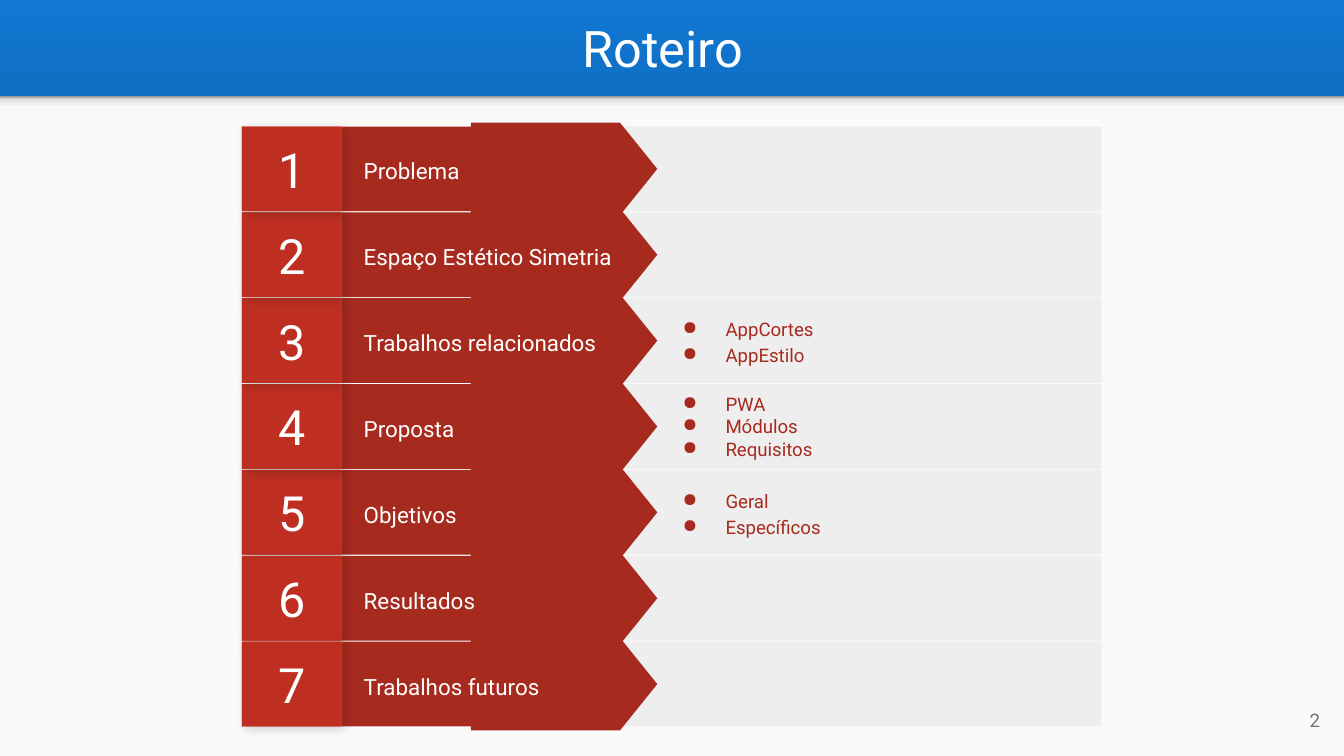
from lxml.etree import SubElement
from pptx import Presentation
from pptx.dml.color import RGBColor
from pptx.enum.shapes import MSO_SHAPE
from pptx.enum.text import MSO_ANCHOR, PP_ALIGN
from pptx.oxml.ns import qn
from pptx.util import Pt

INK = {
    "white": "FFFFFF", "page": "FAFAFA", "gray": "737373", "bar": "EEEEEE",
    "brick": "A72A1E", "under": "B02C20", "red": "BE2F22", "black": "000000",
    "sky": "1077D2", "navy": "093153",
    "mist": "F9F9F9", "fog": "DEDEDE", "shade": "999999",
}
ROWS = [
    ("Problema", []),
    ("Espaço Estético Simetria", []),
    ("Trabalhos relacionados", ["AppCortes", "AppEstilo"]),
    ("Proposta", ["PWA", "Módulos", "Requisitos"]),
    ("Objetivos", ["Geral", "Específicos"]),
    ("Resultados", []),
    ("Trabalhos futuros", []),
]
STACK = [5, 4, 3, 2, 1, 6, 7]
TOP, STEP, HIGH = 67.8, 46, 45.4


def put(node, tag, **attrs):
    return SubElement(node, qn(tag), attrs)


class Deck:
    font = "Roboto"
    inset = Pt(7.2)

    def __init__(self, slide):
        self.slide = slide
        self.shapes = slide.shapes

    def group(self):
        self.shapes = self.slide.shapes.add_group_shape().shapes

    def blend(self, fill, root, stops, angle):
        fill.gradient()
        fill.gradient_angle = angle
        track = next(root.iter(qn("a:gsLst")))
        track.clear()
        for pos, ink in stops:
            stop = put(track, "a:gs", pos=str(pos * 1000))
            put(stop, "a:srgbClr", val=INK[ink])

    def shape(self, x, y, w, h, ink, kind=MSO_SHAPE.RECTANGLE, turn=0):
        item = self.shapes.add_shape(kind, Pt(x), Pt(y), Pt(w), Pt(h))
        item.shadow.inherit = False
        item.fill.solid()
        item.fill.fore_color.rgb = RGBColor.from_string(INK[ink])
        item.line.fill.background()
        item.rotation = turn
        return item

    def shadow(self, item):
        spot = item._element.spPr.find(qn("a:effectLst"))
        cast = put(spot, "a:outerShdw", blurRad=str(Pt(5.6)), dist=str(Pt(2.2)),
                   dir="2700000", algn="bl", rotWithShape="0")
        tint = put(cast, "a:srgbClr", val=INK["black"])
        put(tint, "a:alpha", val="17000")

    def label(self, item, lines, size, ink, align=PP_ALIGN.LEFT, gap=1.0):
        frame = item.text_frame
        frame.word_wrap = True
        frame.vertical_anchor = MSO_ANCHOR.MIDDLE
        frame.margin_left = frame.margin_right = self.inset
        frame.margin_top = frame.margin_bottom = self.inset
        frame.text = "\n".join(lines)
        for para in frame.paragraphs:
            para.alignment = align
            para.line_spacing = gap
            para.font.name = self.font
            para.font.size = Pt(size)
            para.font.color.rgb = RGBColor.from_string(INK[ink])

    def text(self, x, y, w, h, lines, size, ink, align=PP_ALIGN.LEFT, gap=1.0):
        item = self.shapes.add_textbox(Pt(x), Pt(y), Pt(w), Pt(h))
        self.label(item, lines, size, ink, align, gap)
        return item

    def bullets(self, x, y, w, h, lines, size, ink, gap):
        item = self.text(x, y, w, h, lines, size, ink, gap=gap)
        for para in item.text_frame.paragraphs:
            props = para._p.get_or_add_pPr()
            props.set("marL", str(Pt(36)))
            props.set("indent", str(-Pt(23)))
            mark = props.makeelement(qn("a:buChar"), {"char": "●"})
            props.find(qn("a:defRPr")).addprevious(mark)

    def row(self, num, title, notes):
        y = TOP + (num - 1) * STEP
        self.group()
        self.shape(294.5, y, 295.5, HIGH, "bar")
        self.shape(183, y, 142.5, HIGH, "brick")
        wide, tall = 49.6, 99.8
        self.shape(302.2 - wide / 2, y + (HIGH - tall) / 2, wide, tall, "brick",
                   MSO_SHAPE.FLOWCHART_OFFPAGE_CONNECTOR, 270)
        self.text(187.8, y + 5.4, 150, 34.6, [title], 12, "white", gap=1.15)
        self.shadow(self.shape(129.6, y, 53.4, HIGH, "under"))
        badge = self.shape(129.6, y, 53.4, HIGH, "red")
        self.label(badge, [str(num)], 26, "white", PP_ALIGN.CENTER)
        if notes:
            gap = 1.15 if len(notes) < 3 else 1.0
            self.bullets(345.6, y, 229.7, HIGH, notes, 10, "brick", gap)


def main():
    show = Presentation()
    show.slide_width, show.slide_height = Pt(720), Pt(405)
    slide = show.slides.add_slide(show.slide_layouts[6])
    deck = Deck(slide)
    deck.blend(slide.background.fill, slide._element,
               [(0, "sky"), (100, "navy")], 270)
    deck.shape(0, 51.6, 720, 353.4, "page")
    band = deck.shape(0, 51.6, 720, 8.8, "mist")
    deck.blend(band.fill, band._element,
               [(0, "mist"), (36, "mist"), (80, "fog"), (100, "shade")], 90)
    deck.text(7.6, 1.6, 695, 47.6, ["Roteiro"], 27, "white", PP_ALIGN.CENTER)
    deck.text(671, 370, 43.2, 31, ["2"], 10, "gray", PP_ALIGN.RIGHT)
    for num in STACK:
        deck.row(num, *ROWS[num - 1])
    show.save("out.pptx")


if __name__ == "__main__":
    main()
